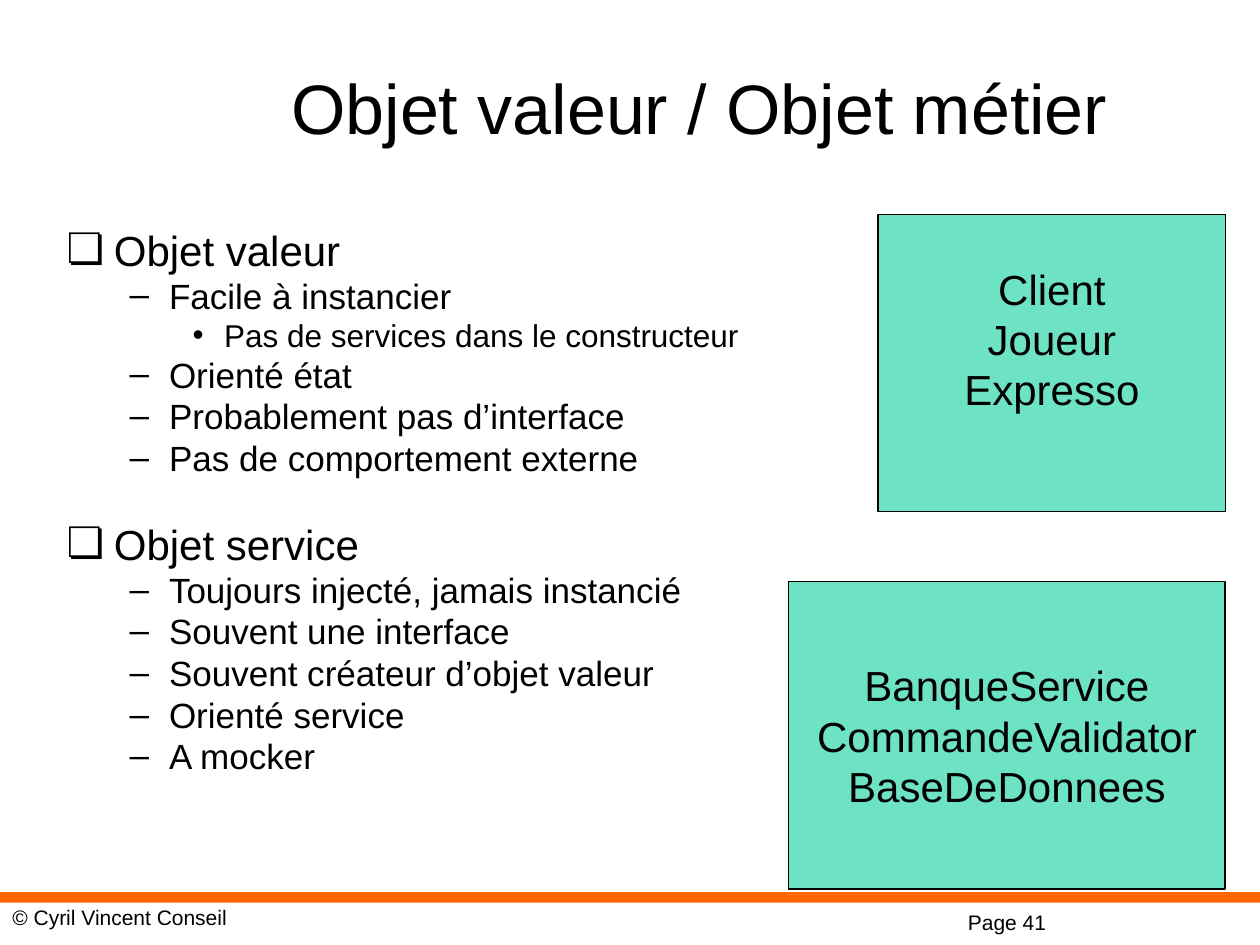
from lxml import etree
from pptx import Presentation
from pptx.dml.color import RGBColor
from pptx.enum import shapes, text
from pptx.oxml import ns
from pptx.util import Pt

COLOURS = {"ink": "000000", "rule": "FF6600", "panel": "00CC99"}
LEVELS = [
    {"bullet": "❏", "size": 24, "margin": 27, "hang": 27},
    {"bullet": "–", "size": 20, "margin": 58.5, "hang": 22.5},
    {"bullet": "•", "size": 18, "margin": 90, "hang": 18},
]
SECTIONS = [
    [(0, "Objet valeur"), (1, "Facile à instancier"),
     (2, "Pas de services dans le constructeur"), (1, "Orienté état"),
     (1, "Probablement pas d’interface"), (1, "Pas de comportement externe")],
    [(0, "Objet service"), (1, "Toujours injecté, jamais instancié"),
     (1, "Souvent une interface"), (1, "Souvent créateur d’objet valeur"),
     (1, "Orienté service"), (1, "A mocker")],
]


def colour(name):
    """Return a named colour as an RGB value."""
    return RGBColor.from_string(COLOURS[name])


def style(para, size):
    """Set the font of a whole paragraph."""
    para.font.name = "Arial"
    para.font.size = Pt(size)
    para.font.color.rgb = colour("ink")


def add_rectangle(page, box, fill):
    """Add a flat filled rectangle without an outline."""
    shape = page.shapes.add_shape(shapes.MSO_SHAPE.RECTANGLE, *map(Pt, box))
    shape.shadow.inherit = False
    shape.fill.solid()
    shape.fill.fore_color.rgb = colour(fill)
    shape.line.fill.background()
    return shape


def add_label(page, box, words, size):
    """Add a one-paragraph text box and return its frame."""
    frame = page.shapes.add_textbox(*map(Pt, box)).text_frame
    frame.word_wrap = True
    frame.text = words
    style(frame.paragraphs[0], size)
    return frame


def add_title(page, box, words):
    """Add the centred slide title."""
    frame = add_label(page, box, words, 40)
    frame.vertical_anchor = text.MSO_ANCHOR.MIDDLE
    frame.paragraphs[0].alignment = text.PP_ALIGN.CENTER


def add_bullet(para, level):
    """Give a paragraph the bullet and hanging indent of its level."""
    rule = LEVELS[level]
    props = para._p.get_or_add_pPr()
    props.set("marL", str(Pt(rule["margin"])))
    props.set("indent", str(-Pt(rule["hang"])))
    font = etree.SubElement(props, ns.qn("a:buFont"))
    font.set("typeface", "Arial")
    etree.SubElement(props, ns.qn("a:buChar")).set("char", rule["bullet"])


def add_outline(page, box, sections):
    """Add the bulleted outline, with a gap between sections."""
    frame = page.shapes.add_textbox(*map(Pt, box)).text_frame
    frame.word_wrap = True
    frame.margin_top = Pt(5.6)
    para = frame.paragraphs[0]
    for number, section in enumerate(sections):
        for row, (level, words) in enumerate(section):
            if number or row:
                para = frame.add_paragraph()
                gap = 23 if row == 0 else 0
                para.space_before = Pt(round(LEVELS[level]["size"] * 0.23 + gap, 1))
            para.text = words
            para.level = level
            para.line_spacing = 0.8
            add_bullet(para, level)
            style(para, LEVELS[level]["size"])


def add_panel(page, box, names, bottom=3.6):
    """Add a translucent green panel with centred class names."""
    panel = add_rectangle(page, box, "panel")
    tint = panel.fill._xPr.find(".//" + ns.qn("a:srgbClr"))
    etree.SubElement(tint, ns.qn("a:alpha")).set("val", "57000")
    panel.line.color.rgb = colour("ink")
    panel.line.width = Pt(0.75)
    frame = panel.text_frame
    frame.word_wrap = False
    frame.vertical_anchor = text.MSO_ANCHOR.MIDDLE
    frame.margin_bottom = Pt(bottom)
    frame.text = "\n".join(names)
    for para in frame.paragraphs:
        para.alignment = text.PP_ALIGN.CENTER
        style(para, 24)


def add_footer(page, box):
    """Add the orange rule, the copyright line and the page number."""
    left, top, width, _ = box
    add_rectangle(page, (left, top, width, 6), "rule")
    add_label(page, (left + 546, top + 6.5, 96, 21.6), "Page 41", 12)
    add_label(page, (left, top + 3.6, 270, 21.6), "© Cyril Vincent Conseil", 12)


def main():
    """Build and save the deck."""
    deck = Presentation()
    deck.slide_width, deck.slide_height = Pt(720), Pt(540)
    page = deck.slides.add_slide(deck.slide_layouts[6])
    add_footer(page, (0, 509.8, 720, 30.2))
    add_title(page, (93.6, 16, 612, 90), "Objet valeur / Objet métier")
    add_outline(page, (31, 128, 674.6, 324), SECTIONS)
    add_panel(page, (501.8, 122.4, 198.6, 170), ["Client", "Joueur", "Expresso"], bottom=31.2)
    add_panel(page, (450.7, 332.4, 249.4, 175.6),
              ["BanqueService", "CommandeValidator", "BaseDeDonnees"])
    deck.save("out.pptx")


if __name__ == "__main__":
    main()
